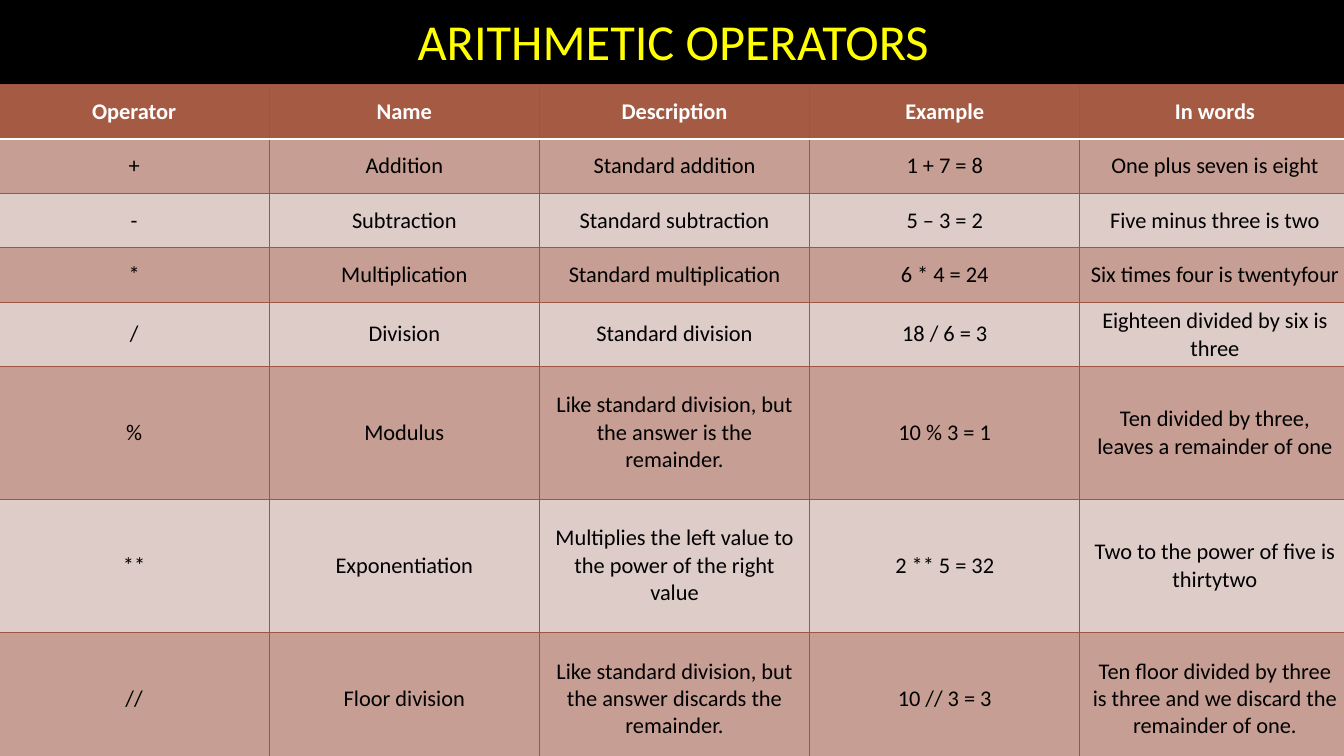
from typing import NamedTuple

from lxml.etree import SubElement
from pptx import Presentation
from pptx.dml.color import RGBColor
from pptx.enum.text import MSO_ANCHOR as Anchor, PP_ALIGN as Align
from pptx.oxml.ns import qn
from pptx.util import Inches, Pt

SLIDE_W, SLIDE_H = 13.33, 7.5
FONT = "Calibri"
HEADER_FILL, DARK_BAND, LIGHT_BAND = "A55A43", "C69E93", "DDCCC8"
TABLE_LEFT, TABLE_TOP = -0.01, 0.84
COLUMN, SHORT_ROW, TALL_ROW = 2.68, 0.54, 1.32


class Operator(NamedTuple):
    symbol: str
    name: str
    description: str
    example: str
    words: str
    height: float = SHORT_ROW


class Border(NamedTuple):
    color: str
    width: float


GRID_LINE = Border("9E5640", 0.75)
HEADER_LINE = Border("FFFFFF", 1.25)

ROWS = [
    Operator("Operator", "Name", "Description", "Example", "In words"),
    Operator("+", "Addition", "Standard addition", "1 + 7 = 8", "One plus seven is eight"),
    Operator("-", "Subtraction", "Standard subtraction", "5 – 3 = 2",
             "Five minus three is two"),
    Operator("*", "Multiplication", "Standard multiplication", "6 * 4 = 24",
             "Six times four is twentyfour"),
    Operator("/", "Division", "Standard division", "18 / 6 = 3",
             "Eighteen divided by six is three"),
    Operator("%", "Modulus", "Like standard division, but the answer is the remainder.",
             "10 % 3 = 1", "Ten divided by three, leaves a remainder of one", TALL_ROW),
    Operator("**", "Exponentiation",
             "Multiplies the left value to the power of the right value",
             "2 ** 5 = 32", "Two to the power of five is thirtytwo", TALL_ROW),
    Operator("//", "Floor division",
             "Like standard division, but the answer discards the remainder.",
             "10 // 3 = 3",
             "Ten floor divided by three is three and we discard the remainder of one.",
             TALL_ROW),
]


def rgb(color: str) -> RGBColor:
    return RGBColor.from_string(color)


def write(para, text: str, size: float, color: str, bold: bool = False) -> None:
    para.alignment = Align.CENTER
    span = para.add_run()
    span.text = text
    span.font.name = FONT
    span.font.size = Pt(size)
    span.font.bold = bold
    span.font.color.rgb = rgb(color)


def add_border(cell, side: str, border: Border) -> None:
    properties = cell._tc.get_or_add_tcPr()
    line = SubElement(properties, qn(f"a:ln{side}"), w=str(Pt(border.width)))
    fill = SubElement(line, qn("a:solidFill"))
    SubElement(fill, qn("a:srgbClr"), val=border.color)


def draw_title(page, text: str) -> None:
    box = page.shapes.add_textbox(Inches(0.14 * SLIDE_W), Inches(0.028 * SLIDE_H),
                                  Inches(0.722 * SLIDE_W), Inches(0.06 * SLIDE_H))
    frame = box.text_frame
    frame.word_wrap = True
    frame.vertical_anchor = Anchor.MIDDLE
    para = frame.paragraphs[0]
    para.line_spacing = 0.9
    write(para, text, 36, "FFFF00")


def draw_cell(cell, text: str, row: int) -> None:
    header = row == 0
    # Borders come before the fill in the cell properties
    add_border(cell, "L", GRID_LINE)
    add_border(cell, "R", GRID_LINE)
    add_border(cell, "T", HEADER_LINE if row == 1 else GRID_LINE)
    add_border(cell, "B", HEADER_LINE if header else GRID_LINE)
    cell.fill.solid()
    band = DARK_BAND if row % 2 else LIGHT_BAND
    cell.fill.fore_color.rgb = rgb(HEADER_FILL if header else band)
    cell.vertical_anchor = Anchor.MIDDLE
    write(cell.text_frame.paragraphs[0], text, 16,
          "FFFFFF" if header else "000000", header)


def draw_table(page, rows: list[Operator]) -> None:
    columns = len(Operator._fields) - 1
    table = page.shapes.add_table(
        len(rows), columns, Inches(TABLE_LEFT), Inches(TABLE_TOP),
        Inches(columns * COLUMN), Inches(sum(row.height for row in rows))).table
    for column in table.columns:
        column.width = Inches(COLUMN)
    for index, operator in enumerate(rows):
        table.rows[index].height = Inches(operator.height)
        for column, text in enumerate(operator[:columns]):
            draw_cell(table.cell(index, column), text, index)


def main() -> None:
    deck = Presentation()
    deck.slide_width, deck.slide_height = Inches(SLIDE_W), Inches(SLIDE_H)
    page = deck.slides.add_slide(deck.slide_layouts[6])
    # Black background
    page.background.fill.solid()
    page.background.fill.fore_color.rgb = rgb("000000")
    # Title and operator table
    draw_title(page, "ARITHMETIC OPERATORS")
    draw_table(page, ROWS)
    deck.save("out.pptx")


if __name__ == "__main__":
    main()
